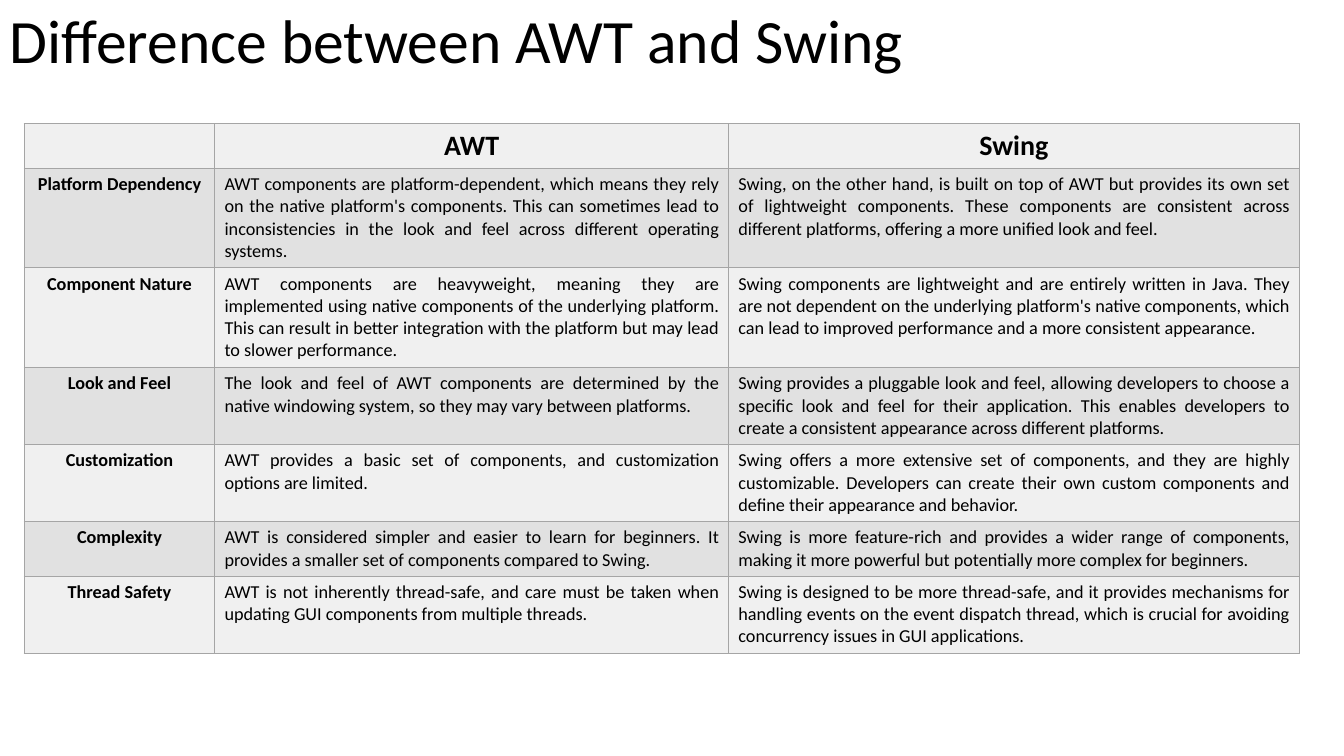
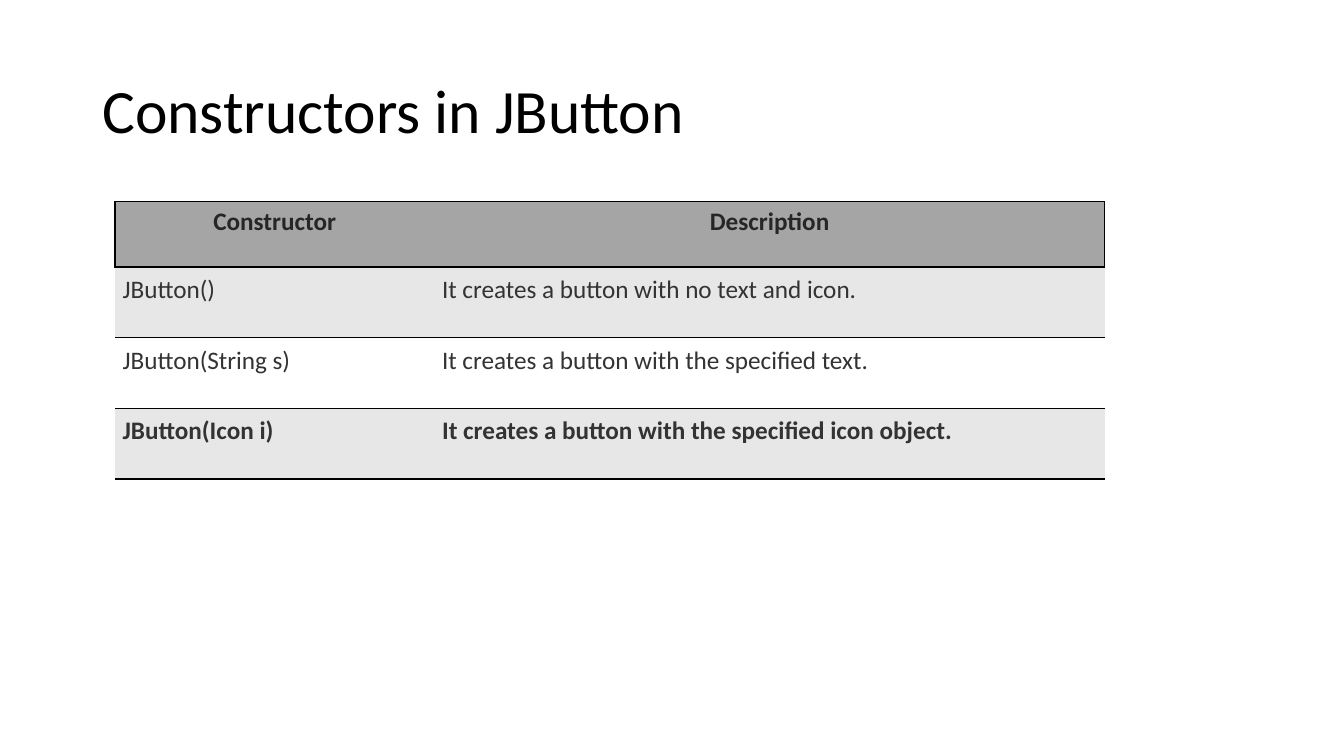
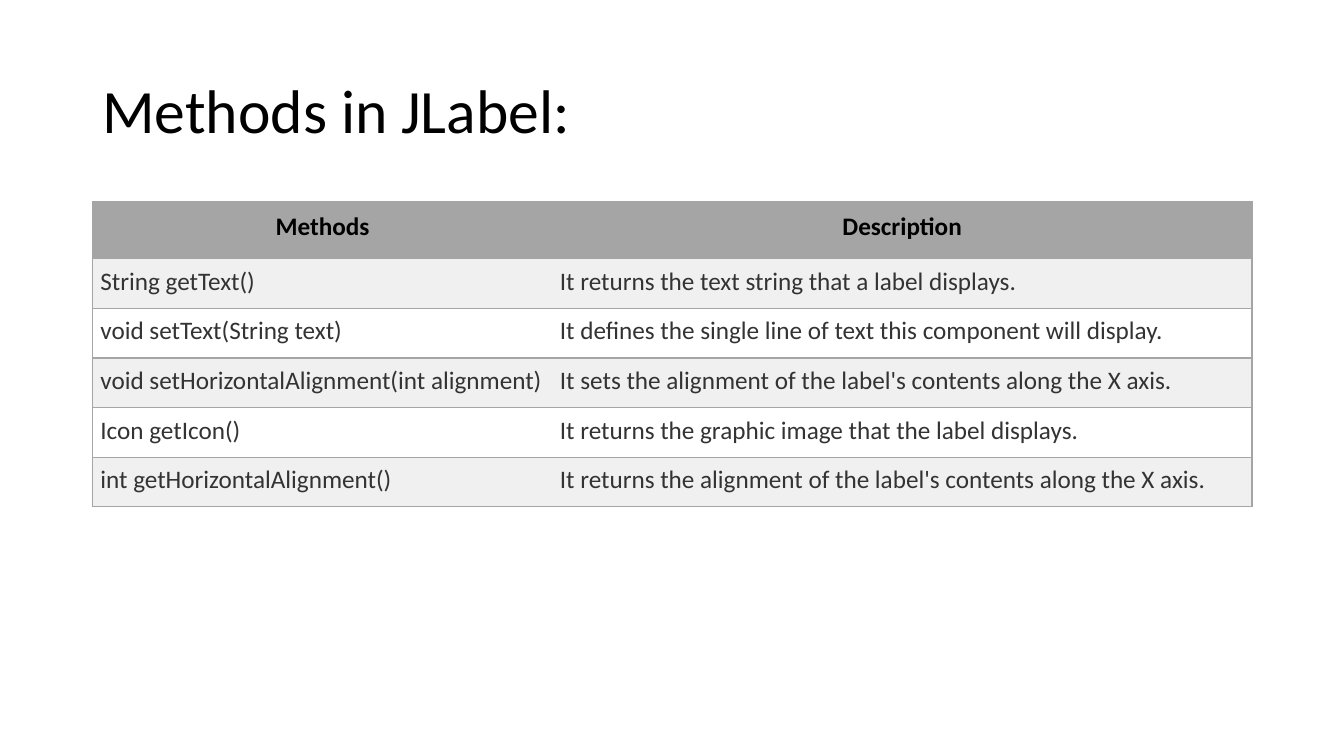
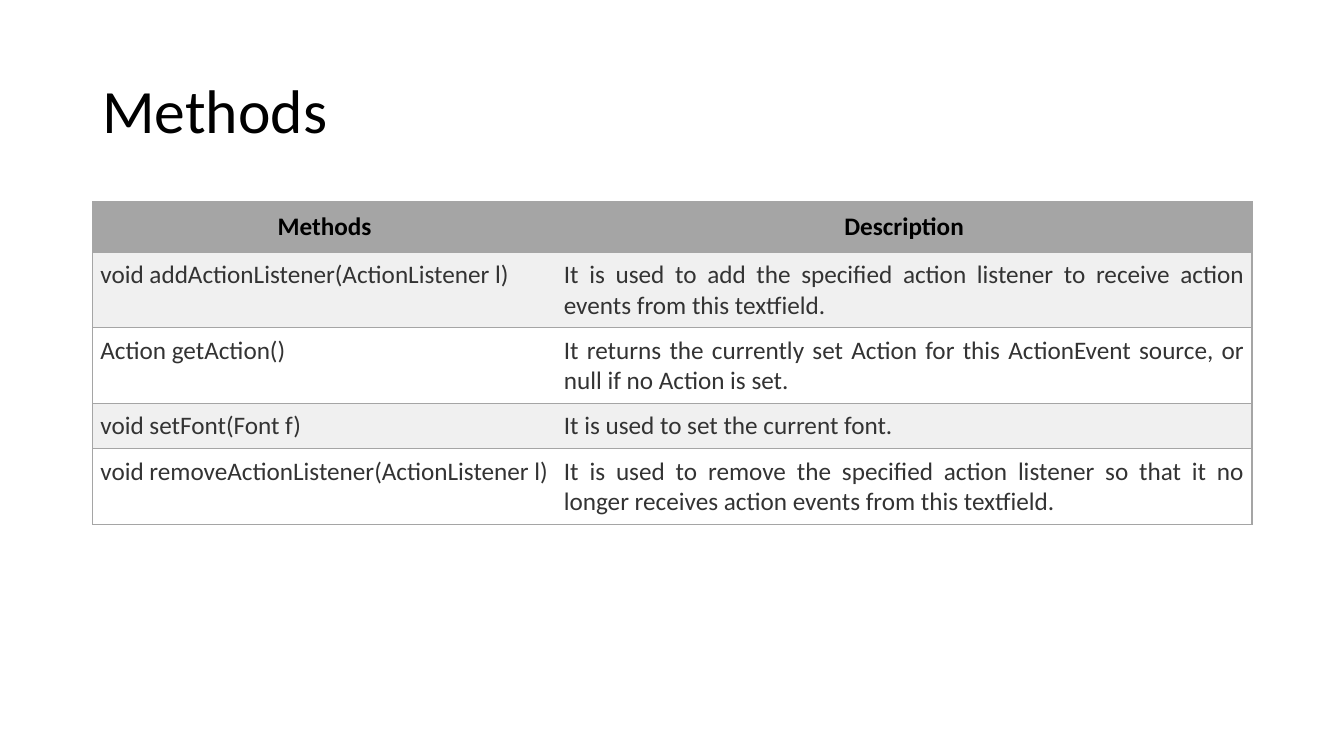
from lxml import etree
from pptx import Presentation
from pptx.dml.color import RGBColor
from pptx.enum.text import MSO_ANCHOR, PP_ALIGN
from pptx.oxml.ns import qn
from pptx.util import Cm, Pt

LEFT, CENTER, JUSTIFY = PP_ALIGN.LEFT, PP_ALIGN.CENTER, PP_ALIGN.JUSTIFY
MIDDLE = MSO_ANCHOR.MIDDLE

BLACK = RGBColor(0x00, 0x00, 0x00)
WHITE = RGBColor(0xFF, 0xFF, 0xFF)
CHARCOAL = RGBColor(0x26, 0x26, 0x26)
BODY_GREY = RGBColor(0x33, 0x33, 0x33)
HEADER_GREY = RGBColor(0xA5, 0xA5, 0xA5)
MID_GREY = RGBColor(0xE1, 0xE1, 0xE1)
BAND_GREY = RGBColor(0xE7, 0xE7, 0xE7)
PALE_GREY = RGBColor(0xF0, 0xF0, 0xF0)

FONT = "Calibri"
NO_STYLE = "{2D5ABB26-0587-4C30-8999-92F81FD0307C}"
TITLE_BOX = (2.33, 1.02, 29.21, 3.68)
PLAIN_INSETS = (0.25, 0.13)
HEADER_INSETS = (0.25, 0.25)
BODY_INSETS = (0.19, 0.19)

COMPARISON = [
    ("", "AWT", "Swing"),
    ("Platform Dependency",
     "AWT components are platform-dependent, which means they rely on the native platform's "
     "components. This can sometimes lead to inconsistencies in the look and feel across "
     "different operating systems.",
     "Swing, on the other hand, is built on top of AWT but provides its own set of lightweight "
     "components. These components are consistent across different platforms, offering a more "
     "unified look and feel."),
    ("Component Nature",
     "AWT components are heavyweight, meaning they are implemented using native components of "
     "the underlying platform. This can result in better integration with the platform but may "
     "lead to slower performance.",
     "Swing components are lightweight and are entirely written in Java. They are not dependent "
     "on the underlying platform's native components, which can lead to improved performance "
     "and a more consistent appearance."),
    ("Look and Feel",
     "The look and feel of AWT components are determined by the native windowing system, so "
     "they may vary between platforms.",
     "Swing provides a pluggable look and feel, allowing developers to choose a specific look "
     "and feel for their application. This enables developers to create a consistent appearance "
     "across different platforms."),
    ("Customization",
     "AWT provides a basic set of components, and customization options are limited.",
     "Swing offers a more extensive set of components, and they are highly customizable. "
     "Developers can create their own custom components and define their appearance and "
     "behavior."),
    ("Complexity",
     "AWT is considered simpler and easier to learn for beginners. It provides a smaller set of "
     "components compared to Swing.",
     "Swing is more feature-rich and provides a wider range of components, making it more "
     "powerful but potentially more complex for beginners."),
    ("Thread Safety",
     "AWT is not inherently thread-safe, and care must be taken when updating GUI components "
     "from multiple threads.",
     "Swing is designed to be more thread-safe, and it provides mechanisms for handling events "
     "on the event dispatch thread, which is crucial for avoiding concurrency issues in GUI "
     "applications."),
]

CONSTRUCTORS = [
    ("Constructor", "Description"),
    ("JButton()", "It creates a button with no text and icon."),
    ("JButton(String s)", "It creates a button with the specified text."),
    ("JButton(Icon i)", "It creates a button with the specified icon object."),
]

LABEL_METHODS = [
    ("Methods", "Description"),
    ("String getText()", "It returns the text string that a label displays."),
    ("void setText(String text)",
     "It defines the single line of text this component will display."),
    ("void setHorizontalAlignment(int alignment)",
     "It sets the alignment of the label's contents along the X axis."),
    ("Icon getIcon()", "It returns the graphic image that the label displays."),
    ("int getHorizontalAlignment()",
     "It returns the alignment of the label's contents along the X axis."),
]

FIELD_METHODS = [
    ("Methods", "Description"),
    ("void addActionListener(ActionListener l)",
     "It is used to add the specified action listener to receive action events from this "
     "textfield."),
    ("Action getAction()",
     "It returns the currently set Action for this ActionEvent source, or null if no Action "
     "is set."),
    ("void setFont(Font f)", "It is used to set the current font."),
    ("void removeActionListener(ActionListener l)",
     "It is used to remove the specified action listener so that it no longer receives action "
     "events from this textfield."),
]


def write(frame, text, size=18, color=BLACK, bold=False, align=LEFT, spacing=None):
    """Put one formatted paragraph into a text frame."""
    frame.word_wrap = True
    paragraph = frame.paragraphs[0]
    paragraph.alignment = align
    paragraph.line_spacing = spacing
    font = paragraph.font
    if text:
        font = paragraph.add_run().font
        paragraph.runs[0].text = text
    font.name, font.size, font.bold = FONT, Pt(size), bold
    font.color.rgb = color


def add_title(slide, text, box=TITLE_BOX):
    frame = slide.shapes.add_textbox(*map(Cm, box)).text_frame
    frame.vertical_anchor = MIDDLE
    write(frame, text, size=44, spacing=0.9)


def add_border(cell, side, color, width):
    properties = cell._tc.get_or_add_tcPr()
    line = etree.SubElement(properties, qn(f"a:ln{side}"), w=str(Pt(width)))
    fill = etree.SubElement(line, qn("a:solidFill"))
    etree.SubElement(fill, qn("a:srgbClr"), val=str(color))


def add_grid(slide, rows, left, top, widths, heights, style_cell,
             line_color, row_lines, column_lines, sided_rows):
    """Draw a table; row_lines maps a row edge to its width in points,
    column_lines lists the column edges drawn in the first sided_rows rows."""
    frame = slide.shapes.add_table(len(rows), len(widths), Cm(left), Cm(top),
                                   Cm(sum(widths)), Cm(sum(heights)))
    table = frame.table
    table.first_row = table.horz_banding = False
    table._tbl.tblPr.find(qn("a:tableStyleId")).text = NO_STYLE
    for column, width in zip(table.columns, widths):
        column.width = Cm(width)
    for r, (texts, height) in enumerate(zip(rows, heights)):
        table.rows[r].height = Cm(height)
        for c, text in enumerate(texts):
            cell = table.cell(r, c)
            # Borders come before the fill in the cell properties
            for side, edge in (("L", c), ("R", c + 1)):
                if r < sided_rows and edge in column_lines:
                    add_border(cell, side, line_color, 1)
            for side, edge in (("T", r), ("B", r + 1)):
                if edge in row_lines:
                    add_border(cell, side, line_color, row_lines[edge])
            fill, insets, text_format = style_cell(r, c)
            cell.fill.solid()
            cell.fill.fore_color.rgb = fill
            cell.margin_left = cell.margin_right = Cm(insets[0])
            cell.margin_top = cell.margin_bottom = Cm(insets[1])
            write(cell.text_frame, text, **text_format)


def comparison_slide(slide):
    def style_cell(r, c):
        heading = r == 0 or c == 0
        return (MID_GREY if r % 2 else PALE_GREY, PLAIN_INSETS,
                dict(size=13 if r else 20, bold=heading,
                     align=CENTER if heading else JUSTIFY))

    add_title(slide, "Difference between AWT and Swing", (0, 0.03, 29.21, 2.16))
    add_grid(slide, COMPARISON, 0.61, 3.12, (4.8, 12.95, 14.38),
             (1.12, 2.51, 2.51, 1.94, 1.94, 1.38, 1.94), style_cell,
             HEADER_GREY, dict.fromkeys(range(len(COMPARISON) + 1), 1),
             range(4), len(COMPARISON))


def reference_style(band, header_color, header_insets, bold_row=None):
    """Cell style of the two-column tables: grey header, banded body."""
    def style_cell(r, c):
        if r == 0:
            return HEADER_GREY, header_insets, dict(color=header_color, bold=True, align=CENTER)
        return (band if r % 2 else WHITE, BODY_INSETS,
                dict(color=BODY_GREY, bold=r == bold_row, align=JUSTIFY))
    return style_cell


def constructors_slide(slide):
    add_title(slide, "Constructors in JButton")
    add_grid(slide, CONSTRUCTORS, 2.9, 5.08, (8.05, 16.89), (1.65,) + (1.78,) * 3,
             reference_style(BAND_GREY, CHARCOAL, PLAIN_INSETS, bold_row=3),
             BLACK, {0: 1, 1: 1.5, 2: 1, 4: 1.5}, (0, 2), 1)


def methods_slide(slide, title, rows, widths, heights):
    add_title(slide, title)
    add_grid(slide, rows, 2.34, 5.08, widths, heights,
             reference_style(PALE_GREY, BLACK, HEADER_INSETS),
             HEADER_GREY, dict.fromkeys(range(len(rows) + 1), 1), (0, 2), len(rows))


def main():
    deck = Presentation()
    deck.slide_width, deck.slide_height = Cm(33.87), Cm(19.05)
    blank = deck.slide_layouts[6]

    comparison_slide(deck.slides.add_slide(blank))
    constructors_slide(deck.slides.add_slide(blank))
    methods_slide(deck.slides.add_slide(blank), "Methods in JLabel:", LABEL_METHODS,
                  (11.58, 17.63), (1.44,) + (1.25,) * 5)
    methods_slide(deck.slides.add_slide(blank), "Methods", FIELD_METHODS,
                  (11.68, 17.53), (1.27, 1.9, 1.9, 1.12, 1.9))
    deck.save("out.pptx")


if __name__ == "__main__":
    main()
